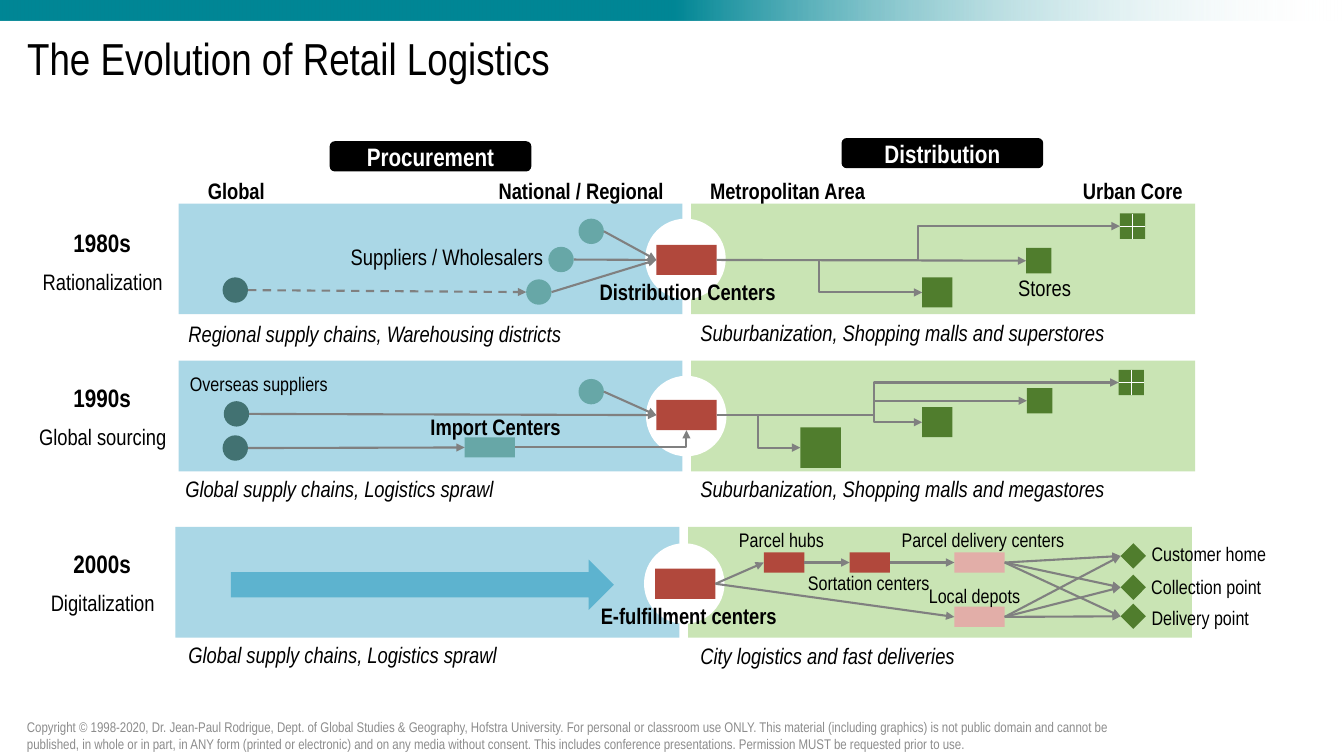
from lxml.etree import SubElement
from pptx import Presentation
from pptx.dml.color import RGBColor
from pptx.enum.dml import MSO_LINE
from pptx.enum.shapes import MSO_CONNECTOR, MSO_SHAPE
from pptx.enum.text import MSO_ANCHOR, MSO_AUTO_SIZE, PP_ALIGN
from pptx.oxml.ns import qn
from pptx.util import Cm, Pt


class Theme:
    font = "Arial Narrow"
    black, white, grey, note = "000000", "FFFFFF", "808080", "8C8C8C"
    teal, blue, green, arrow = "008695", "AAD7E6", "C9E4B4", "5DB3CF"
    center, depot, supplier, origin, store = "B1483C", "E2AEA8", "67A7A7", "427272", "507D2D"
    title, large, medium, small, tiny = 32, 18, 16, 14, 10
    heights = {18: 1.02, 16: 0.94, 14: 0.86}


TITLE = "The Evolution of Retail Logistics"
COPYRIGHT = (
    "Copyright © 1998-2020, Dr. Jean-Paul Rodrigue, Dept. of Global Studies & Geography, "
    "Hofstra University. For personal or classroom use ONLY. This material (including graphics) "
    "is not public domain and cannot be published, in whole or in part, in ANY form (printed or "
    "electronic) and on any media without consent. This includes conference presentations. "
    "Permission MUST be requested prior to use."
)
BADGES = [("Procurement", 8.31, 3.56), ("Distribution", 21.21, 3.48)]
SCALES = [("Global", 5.23, 1.45), ("National / Regional", 12.55, 4.19),
          ("Metropolitan Area", 17.88, 3.94), ("Urban Core", 27.28, 2.54)]

ERAS = [
    ("1980s", 5.61, "Rationalization", 3.56, 4.5, 5.13, 16.26, 5.51),
    ("1990s", 9.5, "Global sourcing", 3.76, 4.5, 9.09, 16.28, 9.47),
    ("2000s", 13.69, "Digitalization", 3.15, 4.42, 13.28, 16.23, 13.69),
]
CAPTIONS = [
    ("Regional supply chains, Warehousing districts", 4.5, 7.95, 10.01),
    ("Suburbanization, Shopping malls and superstores", 17.4, 7.92, 10.8),
    ("Global supply chains, Logistics sprawl", 4.42, 11.86, 8.36),
    ("Suburbanization, Shopping malls and megastores", 17.4, 11.86, 10.77),
    ("Global supply chains, Logistics sprawl", 4.5, 16.03, 8.36),
    ("City logistics and fast deliveries", 17.4, 16.05, 6.99),
]
CENTERS = [("Distribution Centers", 14.83, 6.88, 5), ("Import Centers", 10.57, 10.29, 3.84),
           ("E-fulfillment centers", 14.86, 15.04, 5)]
PLACES = [("Suppliers / Wholesalers", 8.56, 5.99, 5.41), ("Stores", 25.4, 6.78, 1.85)]
DETAILS = [
    ("Overseas suppliers", 4.52, 9.25, 4.01), ("Parcel hubs", 18.36, 13.18, 2.67),
    ("Parcel delivery centers", 22.45, 13.18, 4.65), ("Sortation centers", 20.09, 14.25, 3.61),
    ("Local depots", 23.14, 14.58, 2.84), ("Customer home", 28.75, 13.54, 3.43),
    ("Collection point", 28.75, 14.35, 3.3), ("Delivery point", 28.75, 15.14, 3),
]

RECT, OVAL, DIAMOND = MSO_SHAPE.RECTANGLE, MSO_SHAPE.OVAL, MSO_SHAPE.DIAMOND
NODES = [
    (RECT, Theme.center, 1.52, 0.76,
     {"dc80": (16.54, 6.17), "dc90": (16.54, 10.08), "fulfil": (16.51, 14.33)}),
    (RECT, Theme.center, 1.02, 0.51, {"hub": (19.25, 13.92), "sort": (21.41, 13.92)}),
    (RECT, Theme.depot, 1.27, 0.51, {"delivery": (24.05, 13.92), "depot": (24.05, 15.29)}),
    (RECT, Theme.supplier, 1.27, 0.51, {"import": (11.71, 11.02)}),
    (OVAL, Theme.supplier, 0.64, 0.64,
     {"sup1": (14.58, 5.51), "sup2": (13.82, 6.22), "sup3": (13.26, 7.04), "sup90": (14.58, 9.55)}),
    (OVAL, Theme.origin, 0.64, 0.64,
     {"origin80": (5.61, 6.99), "over1": (5.64, 10.11), "over2": (5.61, 10.97)}),
    (RECT, Theme.store, 0.64, 0.64,
     {"core80": (28.22, 5.38), "shop80": (25.86, 6.25),
      "core90": (28.19, 9.32), "shop90": (25.88, 9.78)}),
    (RECT, Theme.store, 0.76, 0.76, {"super80": (23.24, 6.99), "super90": (23.24, 10.26)}),
    (RECT, Theme.store, 1.02, 1.02, {"mega": (20.17, 10.77)}),
    (DIAMOND, Theme.store, 0.64, 0.64,
     {"home": (28.24, 13.69), "collect": (28.24, 14.48), "drop": (28.24, 15.21)}),
]
FLOWS = [
    ("sup1", "dc80"), ("sup2", "dc80"), ("sup3", "dc80"), ("dc80", "shop80"),
    ("sup90", "dc90"), ("over1", "dc90"), ("over2", "import"),
    ("fulfil", "hub"), ("hub", "sort"), ("sort", "delivery"), ("fulfil", "depot"),
] + [(a, b) for a in ("delivery", "depot") for b in ("home", "collect", "drop")]
BENDS = [
    ("dc80", "core80", 23.14), ("dc80", "super80", 20.65), ("dc90", "core90", 22.02),
    ("dc90", "shop90", 22.02), ("dc90", "super90", 22.02), ("dc90", "mega", 19.1),
]
TOP, LEFT, BOTTOM, RIGHT = range(4)

prs = Presentation()
prs.slide_width, prs.slide_height = Cm(33.87), Cm(19.05)
s = prs.slides.add_slide(prs.slide_layouts[5])


def write(tf, text, size=Theme.medium, color=Theme.black, bold=False, italic=False,
          align=PP_ALIGN.LEFT, anchor=MSO_ANCHOR.TOP, wrap=True, spacing=None):
    tf.word_wrap, tf.vertical_anchor = wrap, anchor
    tf.auto_size = MSO_AUTO_SIZE.NONE if wrap else MSO_AUTO_SIZE.SHAPE_TO_FIT_TEXT
    p = tf.paragraphs[0]
    p.alignment, p.line_spacing = align, spacing
    r = p.add_run()
    r.text = text
    r.font.name, r.font.size = Theme.font, Pt(size)
    r.font.bold, r.font.italic = bold, italic
    r.font.color.rgb = RGBColor.from_string(color)


def label(text, x, y, w, size=Theme.medium, align=PP_ALIGN.CENTER, **fmt):
    tb = s.shapes.add_textbox(Cm(x), Cm(y), Cm(w), Cm(Theme.heights[size]))
    write(tb.text_frame, text, size=size, align=align, wrap=False, **fmt)
    return tb


def shape(kind, color, x, y, w, h):
    sp = s.shapes.add_shape(kind, Cm(x), Cm(y), Cm(w), Cm(h))
    sp.shadow.inherit = False
    sp.line.fill.background()
    sp.fill.solid()
    sp.fill.fore_color.rgb = RGBColor.from_string(color)
    return sp


def side(sp, i):
    x = sp.left + sp.width * {LEFT: 0, RIGHT: 2}.get(i, 1) // 2
    y = sp.top + sp.height * {TOP: 0, BOTTOM: 2}.get(i, 1) // 2
    return x, y


def link(a, b, start=RIGHT, end=LEFT, kind=MSO_CONNECTOR.STRAIGHT,
         color=Theme.grey, width=1.5, head=True):
    c = s.shapes.add_connector(kind, *side(a, start), *side(b, end))
    if kind == MSO_CONNECTOR.STRAIGHT:
        if a.auto_shape_type != OVAL:
            c.begin_connect(a, start)
        if b.auto_shape_type != OVAL:
            c.end_connect(b, end)
    c.line.color.rgb = RGBColor.from_string(color)
    c.line.width = Pt(width)
    spPr = c._element.spPr
    if head:
        SubElement(spPr.find(qn("a:ln")), qn("a:tailEnd"), type="triangle")
    SubElement(spPr, qn("a:effectLst"))
    return c


bar = shape(RECT, Theme.teal, 0, 0, 33.87, 0.51)
bar.fill.gradient()
bar.fill.gradient_angle = 0
for stop, pos, color in zip(bar.fill.gradient_stops, (0.5, 1), (Theme.teal, Theme.white)):
    stop.position = pos
    stop.color.rgb = RGBColor.from_string(color)
SubElement(bar._element.xpath(".//a:gs/a:srgbClr")[-1], qn("a:alpha"), val="0")

title = s.shapes.title
title.left, title.top, title.width, title.height = Cm(0.43), Cm(0.51), Cm(33.02), Cm(2.03)
write(title.text_frame, TITLE, size=Theme.title, anchor=MSO_ANCHOR.MIDDLE, spacing=0.9)
note = s.shapes.add_textbox(Cm(0.43), Cm(18.03), Cm(27.81), Cm(1.02))
write(note.text_frame, COPYRIGHT, size=Theme.tiny, color=Theme.note, anchor=MSO_ANCHOR.MIDDLE)

for era, era_y, theme, theme_w, x, y, hub_x, hub_y in ERAS:
    shape(RECT, Theme.blue, x, y, 12.7, 2.79)
    shape(RECT, Theme.green, x + 12.92, y, 12.7, 2.79)
    shape(OVAL, Theme.white, hub_x, hub_y, 2.03, 2.03)
    label(era, 1.6, era_y, 1.98, size=Theme.large, bold=True, align=PP_ALIGN.LEFT)
    label(theme, 2.59 - theme_w / 2, era_y + 1.03, theme_w)

for text, x, y in BADGES:
    badge = shape(MSO_SHAPE.ROUNDED_RECTANGLE, Theme.black, x, y, 5.08, 0.76)
    write(badge.text_frame, text, size=Theme.large, color=Theme.white, bold=True,
          align=PP_ALIGN.CENTER, anchor=MSO_ANCHOR.MIDDLE)
for text, x, w in SCALES:
    tb = label(text, x, 4.47, w, bold=True)
    tf = tb.text_frame
    tf.margin_left = tf.margin_right = tf.margin_top = tf.margin_bottom = 0
    tb.height = Cm(0.69)

shape(MSO_SHAPE.RIGHT_ARROW, Theme.arrow, 5.82, 14.1, 9.65, 1.27)
nodes = {name: shape(kind, color, *at, w, h)
         for kind, color, w, h, spots in NODES for name, at in spots.items()}

for a, b in FLOWS:
    link(nodes[a], nodes[b])
link(nodes["origin80"], nodes["sup3"]).line.dash_style = MSO_LINE.DASH
for a, b, turn in BENDS:
    c = link(nodes[a], nodes[b], kind=MSO_CONNECTOR.ELBOW)
    ratio = (Cm(turn) - c.begin_x) / (c.end_x - c.begin_x)
    SubElement(c._element.xpath(".//a:avLst")[0], qn("a:gd"),
               name="adj1", fmla=f"val {round(ratio * 100000)}")
c = link(nodes["import"], nodes["dc90"], end=BOTTOM, kind=MSO_CONNECTOR.ELBOW)
c._element.spPr.find(qn("a:prstGeom")).set("prst", "bentConnector2")
for name in ("core80", "core90"):
    for start, end in ((TOP, BOTTOM), (LEFT, RIGHT)):
        link(nodes[name], nodes[name], start, end, color=Theme.white, width=1, head=False)

for items, fmt in (
    (CAPTIONS, {"italic": True, "align": PP_ALIGN.LEFT}),
    (CENTERS, {"bold": True}),
    (PLACES, {}),
    (DETAILS, {"size": Theme.small}),
):
    for item in items:
        label(*item, **fmt)

prs.save("out.pptx")
